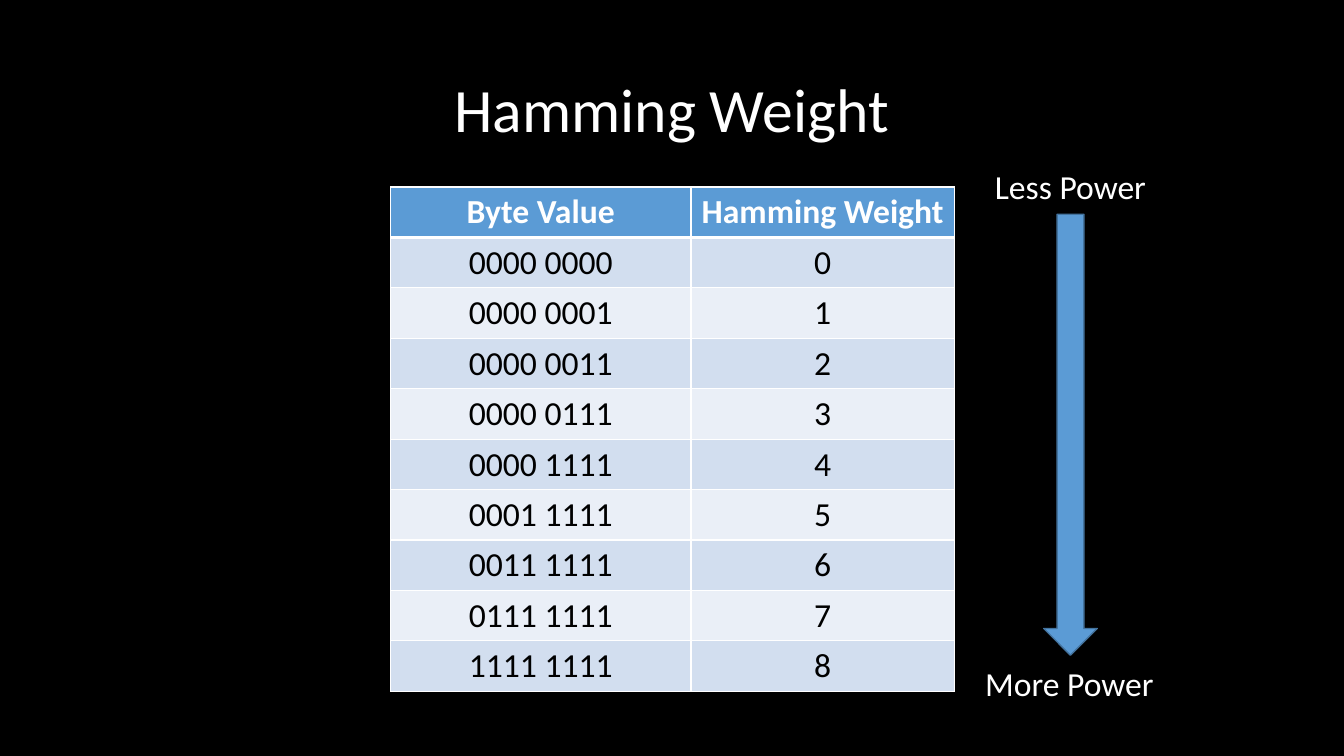
from lxml.etree import SubElement
from pptx import Presentation
from pptx.dml.color import RGBColor
from pptx.enum.shapes import MSO_SHAPE
from pptx.enum.text import MSO_ANCHOR, PP_ALIGN
from pptx.oxml.ns import qn
from pptx.util import Pt

PX = 9525  # EMU per px, 96 px to the inch
FONT = "Calibri"
BLACK = RGBColor(0x00, 0x00, 0x00)
WHITE = RGBColor(0xFF, 0xFF, 0xFF)
BLUE = RGBColor(0x5B, 0x9B, 0xD5)
DARK_BLUE = RGBColor(0x43, 0x73, 0x9E)
BAND_DARK = RGBColor(0xD2, 0xDE, 0xEF)
BAND_LIGHT = RGBColor(0xEA, 0xEF, 0xF7)

HEADERS = ("Byte Value", "Hamming Weight")
BYTES = ("0000 0000", "0000 0001", "0000 0011", "0000 0111", "0000 1111",
         "0001 1111", "0011 1111", "0111 1111", "1111 1111")
COL_WIDTHS = (286, 251)
ROW_HEIGHT = 48


def px(*lengths):
    return [n * PX for n in lengths]


def write(tf, text, size=24, color=WHITE, bold=False, spacing=None):
    p = tf.paragraphs[0]
    p.alignment = PP_ALIGN.CENTER
    p.line_spacing = spacing
    r = p.add_run()
    r.text = text
    r.font.name = FONT
    r.font.size = Pt(size)
    r.font.bold = bold
    r.font.color.rgb = color


def add_text(s, box, text, wrap=False, anchor=MSO_ANCHOR.TOP, **fmt):
    tf = s.shapes.add_textbox(*px(*box)).text_frame
    tf.word_wrap = wrap
    tf.vertical_anchor = anchor
    write(tf, text, **fmt)


def set_borders(cell, top=1, bottom=1):
    """Draw white cell edges; call before the fill, which must follow them in the XML."""
    tcPr = cell._tc.get_or_add_tcPr()
    for side, width in (("L", 1), ("R", 1), ("T", top), ("B", bottom)):
        ln = SubElement(tcPr, qn(f"a:ln{side}"), w=str(Pt(width)))
        fill = SubElement(ln, qn("a:solidFill"))
        SubElement(fill, qn("a:srgbClr"), val=str(WHITE))


def add_weight_table(s, left, top):
    rows = [HEADERS] + [(b, str(b.count("1"))) for b in BYTES]
    size = px(left, top, sum(COL_WIDTHS), ROW_HEIGHT * len(rows))
    table = s.shapes.add_table(len(rows), len(HEADERS), *size).table
    for col, width in zip(table.columns, COL_WIDTHS):
        col.width = width * PX
    for i, row in enumerate(rows):
        header = i == 0
        fill = BLUE if header else BAND_DARK if i % 2 else BAND_LIGHT
        for j, text in enumerate(row):
            cell = table.cell(i, j)
            set_borders(cell, top=3 if i == 1 else 1, bottom=3 if header else 1)
            cell.fill.solid()
            cell.fill.fore_color.rgb = fill
            write(cell.text_frame, text, color=WHITE if header else BLACK, bold=header)


def add_down_arrow(s, box):
    sp = s.shapes.add_shape(MSO_SHAPE.DOWN_ARROW, *px(*box))
    sp.shadow.inherit = False
    sp.fill.solid()
    sp.fill.fore_color.rgb = BLUE
    sp.line.color.rgb = DARK_BLUE
    sp.line.width = Pt(1)


def main():
    prs = Presentation()
    prs.slide_width, prs.slide_height = px(1280, 720)
    s = prs.slides.add_slide(prs.slide_layouts[6])
    s.background.fill.solid()
    s.background.fill.fore_color.rgb = BLACK

    add_text(s, (88, 38, 1104, 139), "Hamming Weight", wrap=True,
             anchor=MSO_ANCHOR.MIDDLE, size=44, spacing=0.9)
    add_weight_table(s, 372, 178)
    add_down_arrow(s, (994, 204, 51, 420))
    add_text(s, (937, 153, 165, 48), "Less Power")
    add_text(s, (928, 627, 181, 48), "More Power")
    prs.save("out.pptx")


if __name__ == "__main__":
    main()
